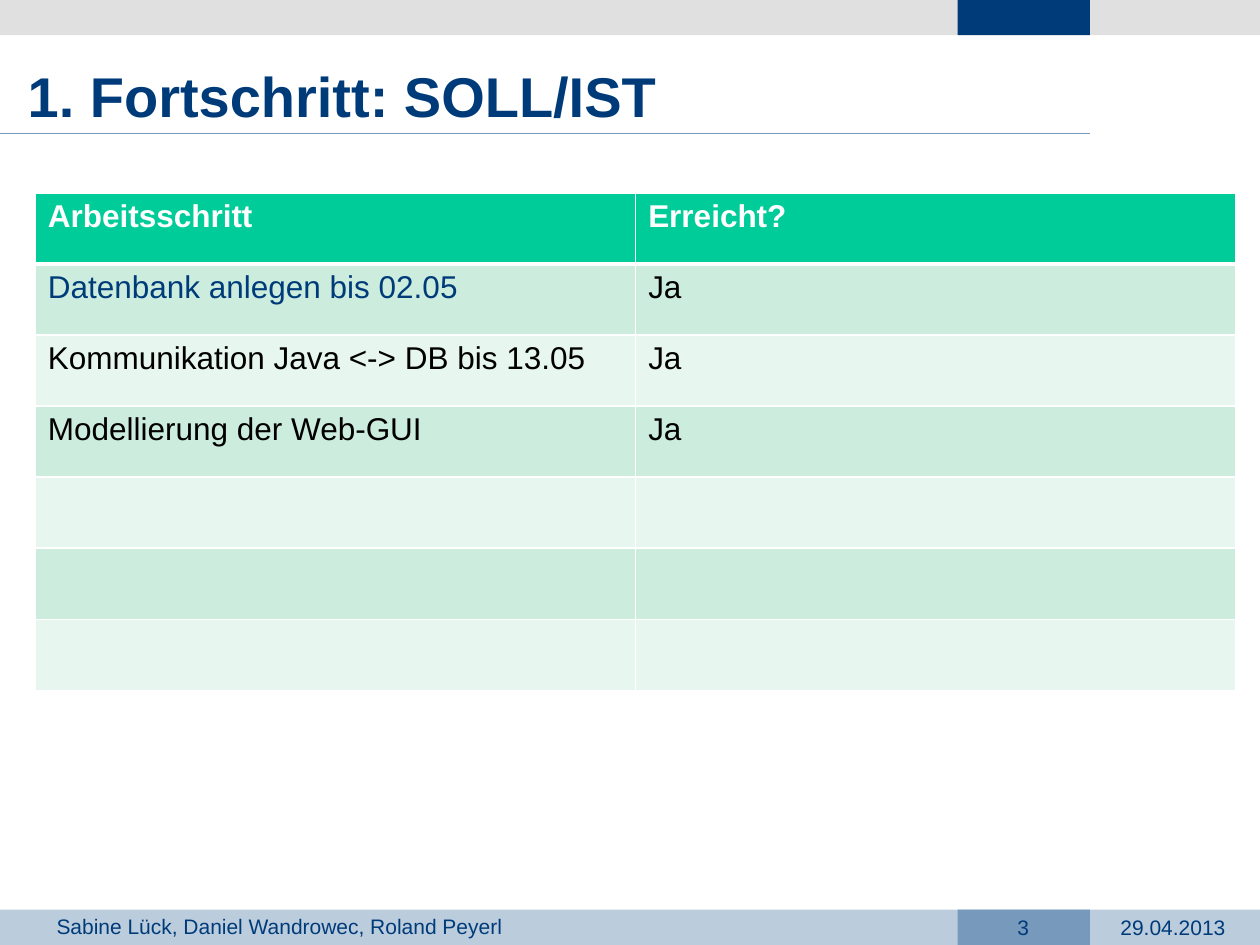
"""Builds the progress slide with its target/actual table."""
from lxml import etree
from pptx import Presentation
from pptx import util as u
from pptx.dml.color import RGBColor
from pptx.enum import shapes, text
from pptx.oxml import ns

COLORS = {
    "navy": "003B79", "blue": "7799BB", "pale": "BBCCDD", "grey": "E0E0E0",
    "white": "FFFFFF", "black": "000000",
    "head": "00CC99", "odd": "CCECDE", "even": "E7F6EF",
}


def rgb(name):
    return RGBColor.from_string(COLORS[name])


def style(p, size, color, bold=False, align=text.PP_ALIGN.LEFT):
    p.alignment = align
    p.font.name = "Arial"
    p.font.size = u.Pt(size)
    p.font.bold = bold
    p.font.color.rgb = rgb(color)


prs = Presentation()
prs.slide_width, prs.slide_height = u.Inches(10), u.Inches(7.5)
s = prs.slides.add_slide(prs.slide_layouts[5])

bars = [
    (0, 7.22, 10, "pale"),
    (0, 0, 10, "grey"),
    (7.6, 0, 1.05, "navy"),
    (7.6, 7.22, 1.05, "blue"),
]
for left, top, width, color in bars:
    sp = s.shapes.add_shape(shapes.MSO_SHAPE.RECTANGLE, u.Inches(left), u.Inches(top),
                            u.Inches(width), u.Inches(0.28))
    sp.shadow.inherit = False
    sp.fill.solid()
    sp.fill.fore_color.rgb = rgb(color)
    sp.line.fill.background()

rule = s.shapes.add_connector(shapes.MSO_CONNECTOR.STRAIGHT, u.Inches(-0.01), u.Inches(1.06),
                              u.Inches(8.65), u.Inches(1.06))
rule.line.color.rgb = rgb("blue")
rule.line.width = u.Pt(1)
etree.SubElement(rule._element.spPr, ns.qn("a:effectLst"))

footers = [
    (0.35, 7.2, 4.02, "Sabine Lück, Daniel Wandrowec, Roland Peyerl", text.PP_ALIGN.LEFT),
    (7.59, 7.21, 1.06, "3", text.PP_ALIGN.CENTER),
    (8.66, 7.21, 1.3, "29.04.2013", text.PP_ALIGN.CENTER),
]
for left, top, width, words, align in footers:
    tf = s.shapes.add_textbox(u.Inches(left), u.Inches(top),
                              u.Inches(width), u.Inches(0.3)).text_frame
    tf.word_wrap = True
    tf.text = words
    style(tf.paragraphs[0], 12, "navy", align=align)

title = s.shapes.title
title.left, title.top = u.Inches(0.12), u.Inches(0.39)
title.width, title.height = u.Inches(7.24), u.Inches(0.55)
tf = title.text_frame
tf.text = "1. Fortschritt: SOLL/IST"
tf.vertical_anchor = text.MSO_ANCHOR.TOP
tf.margin_top, tf.margin_bottom = u.Inches(0.1), 0
tf.auto_size = text.MSO_AUTO_SIZE.NONE
style(tf.paragraphs[0], 32, "navy", bold=True)

rows = [
    ("Arbeitsschritt", "Erreicht?"),
    ("Datenbank anlegen bis 02.05", "Ja"),
    ("Kommunikation Java <-> DB bis 13.05", "Ja"),
    ("Modellierung der Web-GUI", "Ja"),
    ("", ""),
    ("", ""),
    ("", ""),
]
table = s.shapes.add_table(len(rows), 2, u.Inches(0.28), u.Inches(1.53),
                           u.Inches(9.53), u.Inches(3.95)).table
for i, row in enumerate(rows):
    for j, words in enumerate(row):
        cell = table.cell(i, j)
        cell.text = words
        color = "white" if i == 0 else "navy" if (i, j) == (1, 0) else "black"
        style(cell.text_frame.paragraphs[0], 18, color, bold=i == 0)
        tc_pr = cell._tc.get_or_add_tcPr()
        for side in ("lnL", "lnR", "lnT", "lnB"):
            thick = (i, side) in ((0, "lnB"), (1, "lnT"))
            ln = etree.SubElement(tc_pr, ns.qn(f"a:{side}"), w=str(u.Pt(3 if thick else 1)))
            fill = etree.SubElement(ln, ns.qn("a:solidFill"))
            etree.SubElement(fill, ns.qn("a:srgbClr"), val=COLORS["white"])
        cell.fill.solid()
        cell.fill.fore_color.rgb = rgb("head" if i == 0 else "odd" if i % 2 else "even")

prs.save("out.pptx")
